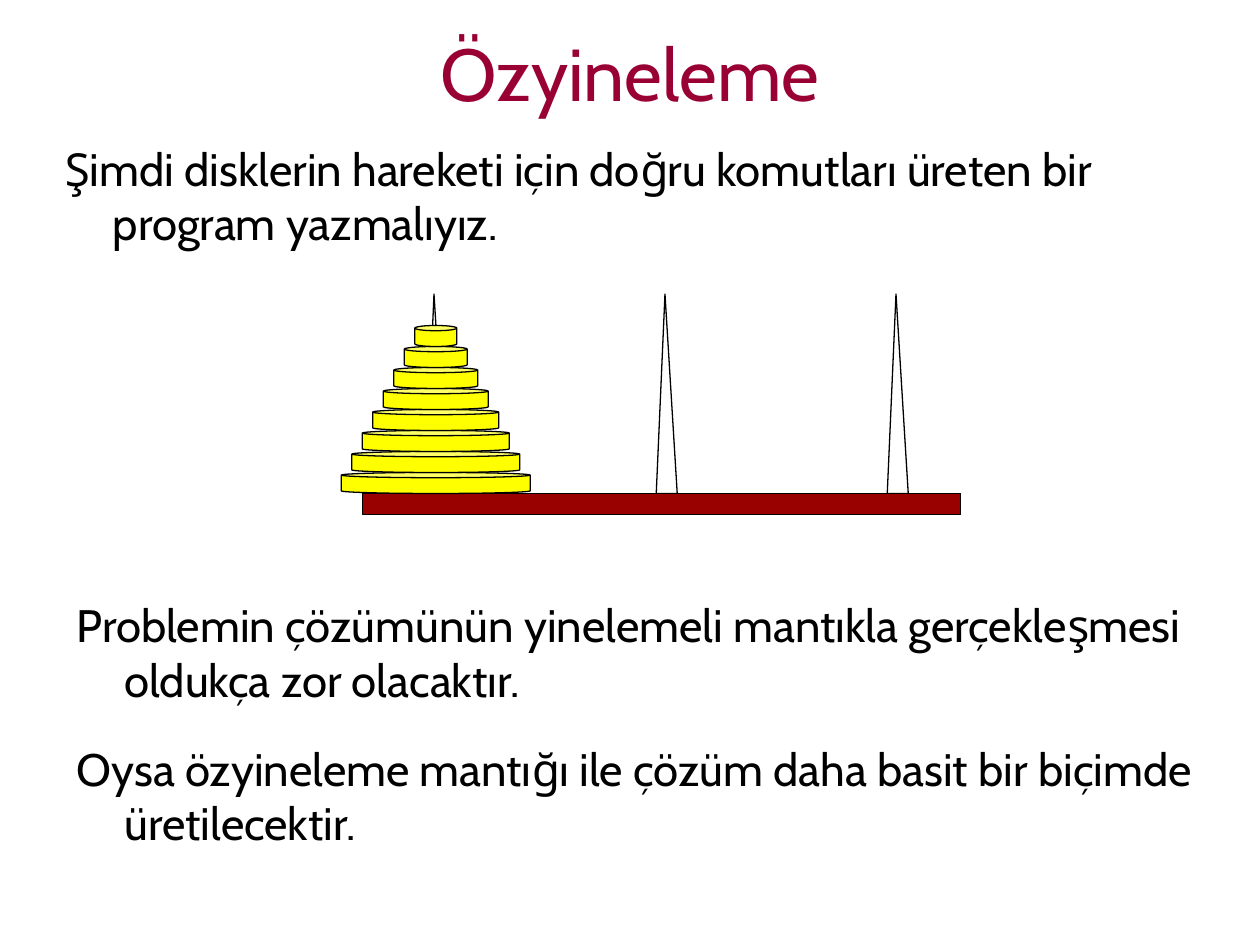
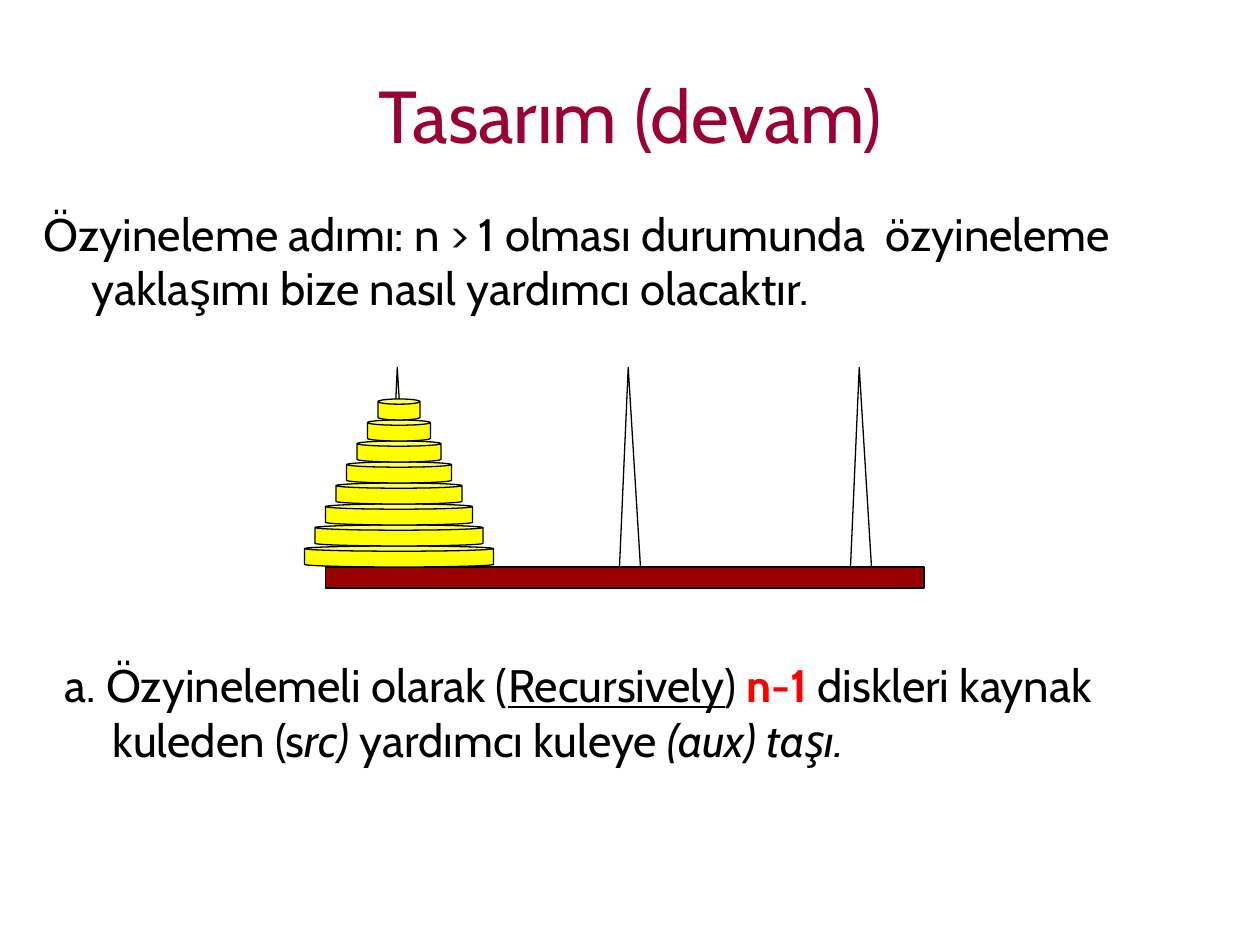
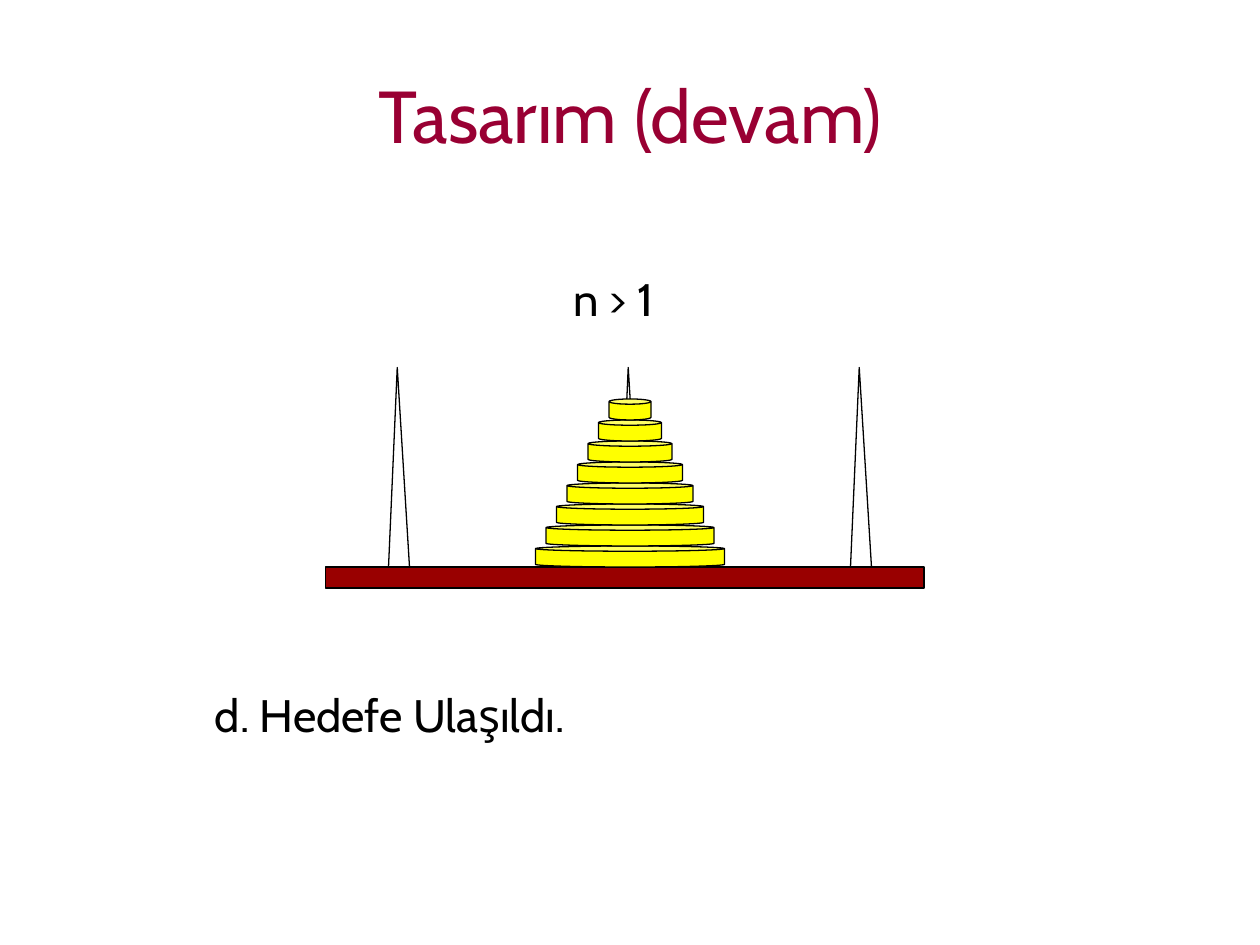
from pptx import Presentation
from pptx.dml.color import RGBColor
from pptx.enum.shapes import MSO_SHAPE as Shape
from pptx.enum.text import MSO_ANCHOR as Anchor, PP_ALIGN as Align
from pptx.util import Inches, Pt

WINE = RGBColor(0x99, 0x00, 0x33)
BLACK = RGBColor(0x00, 0x00, 0x00)
RED = RGBColor(0xFF, 0x00, 0x00)
WHITE = RGBColor(0xFF, 0xFF, 0xFF)
YELLOW = RGBColor(0xFF, 0xFF, 0x00)
BRICK = RGBColor(0x99, 0x00, 0x00)

FONT = "Cabin"
COLS, ROWS = 120, 90
CELL = Inches(10) // COLS
INDENT = Inches(0.38)
DISKS, PEGS = 8, 3


def cells(*counts):
    """Turn grid counts into lengths."""
    return [round(count * CELL) for count in counts]


def add_run(para, text, size, color, style=""):
    """Add one run; style holds any of b, i and u."""
    run = para.add_run()
    run.text = text
    font = run.font
    font.name, font.size, font.color.rgb = FONT, Pt(size), color
    font.bold, font.italic, font.underline = (key in style for key in "biu")


def add_frame(slide, box):
    frame = slide.shapes.add_textbox(*cells(*box)).text_frame
    frame.word_wrap = True
    return frame


def add_title(slide, text, height):
    frame = add_frame(slide, (12, 4, 96, height))
    frame.vertical_anchor = Anchor.MIDDLE
    para = frame.paragraphs[0]
    para.alignment = Align.CENTER
    para.line_spacing = 0.85
    add_run(para, text, 42, WINE)


def add_body(slide, box, *paras):
    """Each paragraph is a list of (text, color, style) runs or a plain string."""
    frame = add_frame(slide, box)
    for index, runs in enumerate(paras):
        para = frame.add_paragraph() if index else frame.paragraphs[0]
        para.space_before = Pt(19.5)
        props = para._p.get_or_add_pPr()
        props.set("marL", str(INDENT))
        props.set("indent", str(-INDENT))
        if isinstance(runs, str):
            runs = [(runs, BLACK, "")]
        for text, color, style in runs:
            add_run(para, text, 26, color, style)


def add_part(home, kind, box, fill, adjust=None):
    part = home.add_shape(kind, *cells(*box))
    part.shadow.inherit = False
    part.fill.solid()
    part.fill.fore_color.rgb = fill
    part.line.color.rgb = BLACK
    part.line.width = Pt(0.75)
    if adjust is not None:
        part.adjustments[0] = adjust


def add_hanoi(home, left, top, tower=0):
    """Draw three pegs on a base, with all disks on the peg numbered tower."""
    base, gap = top + 19, 22
    for peg in range(PEGS):
        add_part(home, Shape.ISOSCELES_TRIANGLE,
                 (left + 6 + peg * gap, top, 2, 19), WHITE, 0.417)
    add_part(home, Shape.RECTANGLE, (left, base, 57, 2), BRICK)
    for disk in range(DISKS):
        add_part(home, Shape.CAN,
                 (left - 2 + tower * gap + disk, base - 2 * (disk + 1),
                  18 - 2 * disk, 2), YELLOW, 0.25)


def add_group(slide):
    return slide.shapes.add_group_shape().shapes


def intro(slide):
    add_title(slide, "Özyineleme", 7)
    add_body(slide, (5, 12.8, 115, 12),
             "Şimdi disklerin hareketi için doğru komutları üreten bir program yazmalıyız.")
    add_body(slide, (6.1, 56.3, 112, 24.6),
             "Problemin çözümünün yinelemeli mantıkla gerçekleşmesi oldukça zor olacaktır.",
             "Oysa özyineleme mantığı ile çözüm daha basit bir biçimde üretilecektir.")
    add_hanoi(add_group(slide), 34.5, 28)


def step(slide):
    add_title(slide, "Tasarım (devam)", 15)
    add_body(slide, (3, 19, 115, 12),
             "Özyineleme adımı: n > 1 olması durumunda  özyineleme yaklaşımı "
             "bize nasıl yardımcı olacaktır.")
    add_body(slide, (5, 62, 112, 12), [
        ("a. Özyinelemeli olarak (", BLACK, ""),
        ("Recursively", BLACK, "u"),
        (") ", BLACK, ""),
        ("n-1", RED, "b"),
        (" diskleri kaynak kuleden (s", BLACK, ""),
        ("rc) ", BLACK, "i"),
        ("yardımcı kuleye ", BLACK, ""),
        ("(aux) taşı.", BLACK, "i"),
    ])
    add_hanoi(add_group(slide), 31, 35)


def goal(slide):
    add_title(slide, "Tasarım (devam)", 15)
    add_body(slide, (53.4, 25.2, 14.5, 7), "n > 1")
    add_body(slide, (19.3, 64.8, 37, 6.6), "d. Hedefe Ulaşıldı.")
    add_hanoi(slide.shapes, 31, 35, tower=1)


def main():
    deck = Presentation()
    deck.slide_width, deck.slide_height = cells(COLS, ROWS)
    for fill in (intro, step, goal):
        fill(deck.slides.add_slide(deck.slide_layouts[6]))
    deck.save("out.pptx")


if __name__ == "__main__":
    main()
